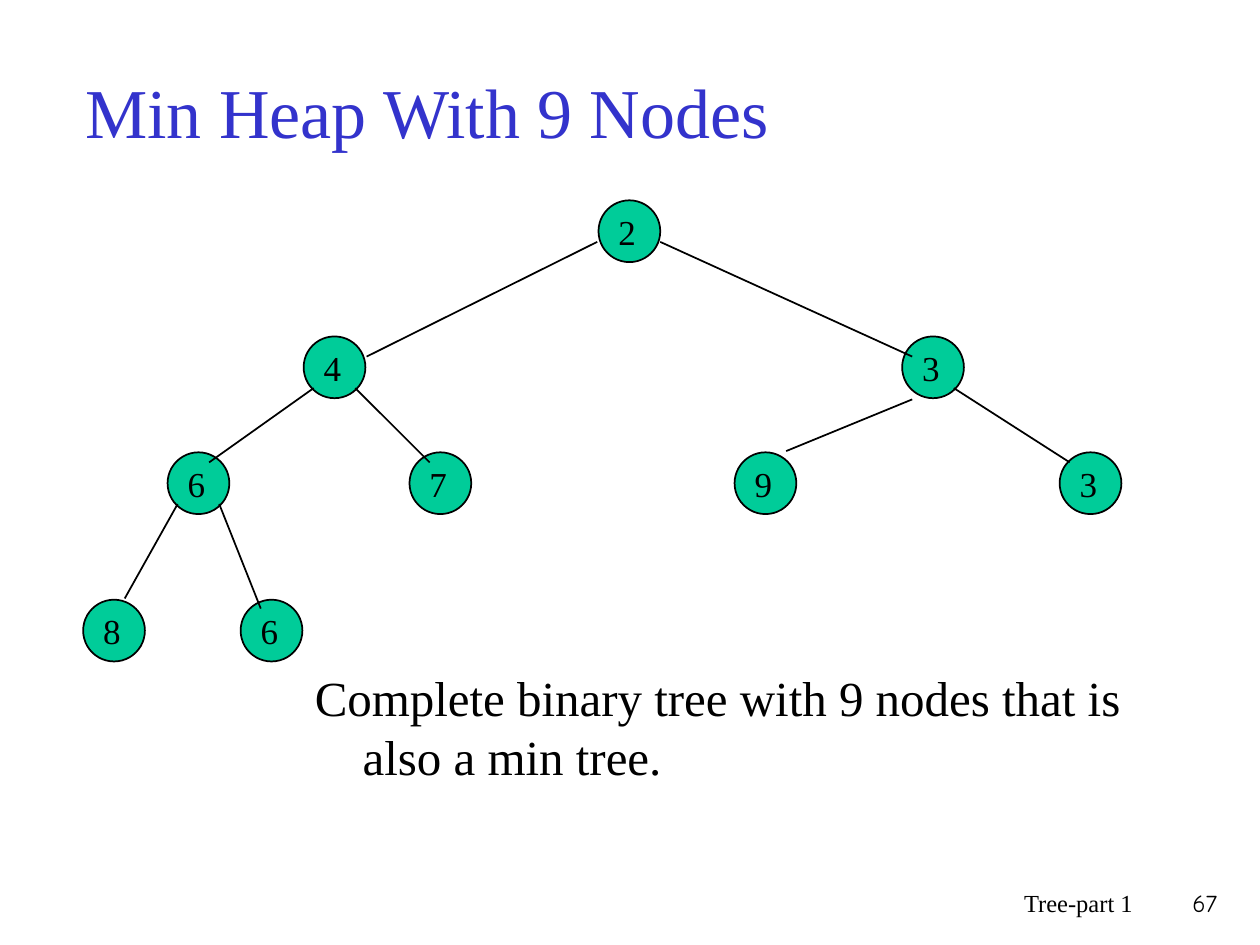
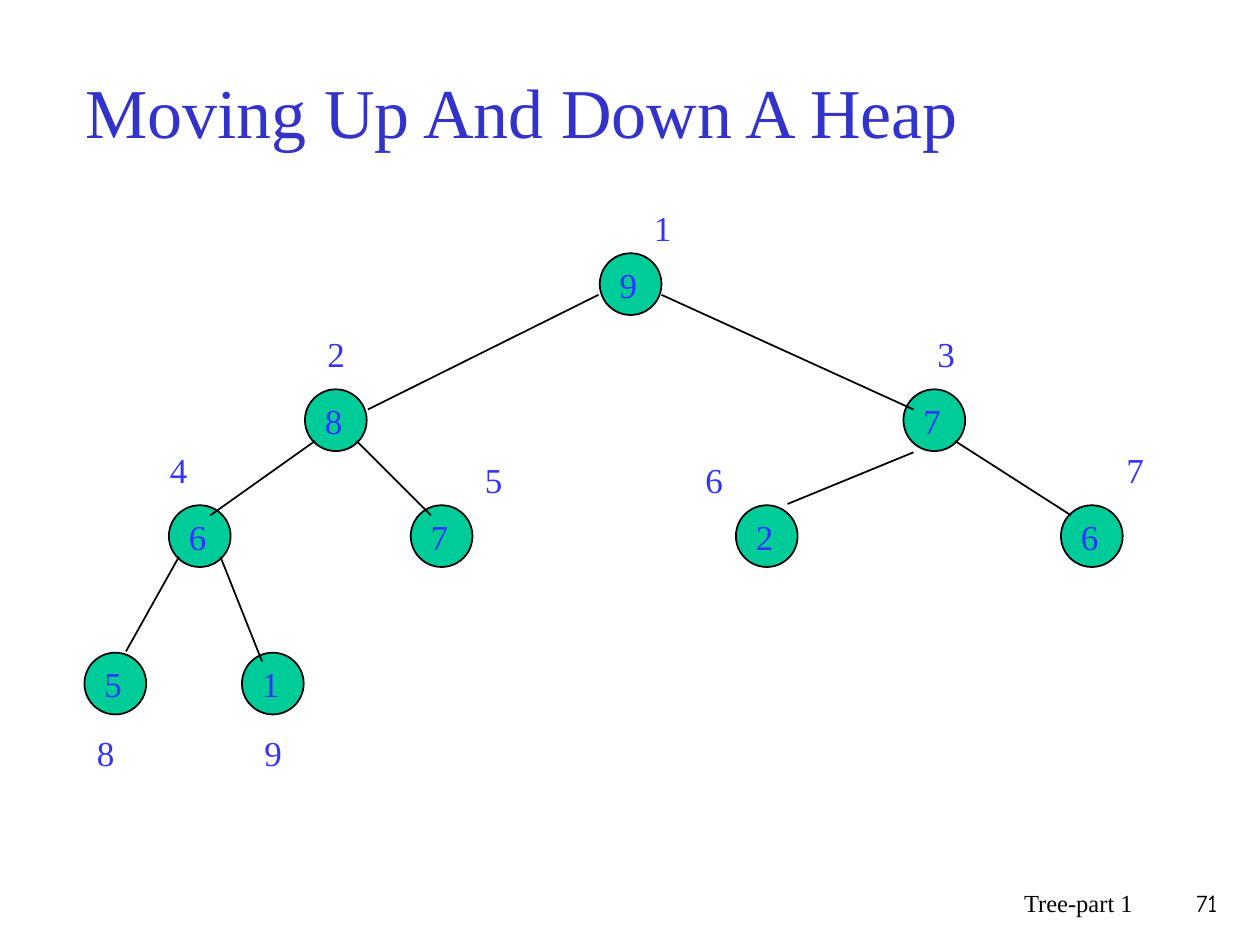
"""Build two slides that show heaps as binary trees."""
import pptx
import pptx.dml.color
import pptx.enum.shapes
import pptx.enum.text
import pptx.oxml.ns
import pptx.util
from pptx.util import Inches

RGBColor = pptx.dml.color.RGBColor
ALIGN = pptx.enum.text.PP_ALIGN
ANCHOR = pptx.enum.text.MSO_ANCHOR

TITLE_BLUE = RGBColor(0x33, 0x33, 0xCC)
LABEL_BLUE = RGBColor(0x33, 0x33, 0xFF)
GREEN = RGBColor(0x00, 0xCC, 0x99)
BLACK = RGBColor(0, 0, 0)

SERIF = "Times New Roman"
NUMBER_FONT = "Comic Neue"
FOOTER = "Tree-part 1"

SLIDES = [
    {
        "title": "Min Heap With 9 Nodes",
        "number": "67",
        "keys": "243679386",
        "key_color": BLACK,
        "shift": (0, 0),
        "caption": "Complete binary tree with 9 nodes that is also a min tree.",
        "indices": [],
    },
    {
        "title": "Moving Up And Down A Heap",
        "number": "71",
        "keys": "987672651",
        "key_color": LABEL_BLUE,
        "shift": (0.01, 0.42),
        "caption": "",
        "indices": [
            (5.09, 1.59), (2.5, 2.59), (7.34, 2.59),
            (1.25, 3.51), (3.75, 3.59), (5.5, 3.59), (8.84, 3.51),
            (0.67, 5.76), (2, 5.76),
        ],
    },
]

DIAMETER = 0.49
LEVEL_TOPS = [1.59, 2.67, 3.59, 4.76]
LEVEL_LEFTS = [[4.75], [2.41, 7.16], [1.33, 3.25, 5.83, 8.41], [0.66, 1.91]]
NODES = [(x, y) for y, xs in zip(LEVEL_TOPS, LEVEL_LEFTS) for x in xs]

# Each pair gives the line ends as offsets from the parent and the child.
EDGE_ENDS = [
    ((-0.01, 0.33), (0.5, 0.16)), ((0.49, 0.33), (0.08, 0.16)),
    ((0.08, 0.41), (0.33, 0.08)), ((0.41, 0.41), (0.16, 0.08)),
    ((0.08, 0.5), (0.41, -0.01)), ((0.41, 0.41), (0.08, 0.08)),
    ((0.08, 0.41), (0.33, -0.01)), ((0.41, 0.41), (0.16, 0.07)),
]


def add_text(slide, text, box, size, color=BLACK, font=SERIF, wrap=True,
             align=ALIGN.LEFT, anchor=ANCHOR.TOP):
    """Add a text box with one paragraph and return the paragraph."""
    tf = slide.shapes.add_textbox(*map(Inches, box)).text_frame
    tf.word_wrap = wrap
    tf.vertical_anchor = anchor
    p = tf.paragraphs[0]
    p.alignment = align
    r = p.add_run()
    r.text = text
    style = {"name": font, "size": pptx.util.Pt(size)}
    for name, value in style.items():
        setattr(r.font, name, value)
    r.font.color.rgb = color
    return p


def set_line(line):
    """Give a line the common black outline."""
    line.color.rgb = BLACK
    line.width = pptx.util.Pt(1)


def moved(point, offset):
    """Return the point moved by the offset."""
    return point[0] + offset[0], point[1] + offset[1]


def add_tree(slide, keys, color, shift):
    """Draw the circles, then the edges, then the keys."""
    nodes = [moved(node, shift) for node in NODES]
    for node in nodes:
        sp = slide.shapes.add_shape(
            pptx.enum.shapes.MSO_SHAPE.OVAL,
            *map(Inches, (*node, DIAMETER, DIAMETER)))
        sp.shadow.inherit = False
        sp.fill.solid()
        sp.fill.fore_color.rgb = GREEN
        set_line(sp.line)
    for child, (start, end) in enumerate(EDGE_ENDS, 1):
        ends = (*moved(nodes[(child - 1) // 2], start),
                *moved(nodes[child], end))
        edge = slide.shapes.add_connector(
            pptx.enum.shapes.MSO_CONNECTOR.STRAIGHT, *map(Inches, ends))
        set_line(edge.line)
        sp_pr = edge._element.spPr
        sp_pr.append(sp_pr.makeelement(pptx.oxml.ns.qn("a:effectLst"), {}))
    for node, key in zip(nodes, keys):
        add_text(slide, key, (*moved(node, (0.06, 0.03)), 0.34, 0.43), 20,
                 color, wrap=False)


def add_caption(slide, text):
    """Add the caption with its hanging indent."""
    p = add_text(slide, text, (2.4, 5.25, 7.17, 1.26), 28)
    p_pr = p._p.get_or_add_pPr()
    p_pr.set("marL", str(Inches(0.38)))
    p_pr.set("indent", str(-Inches(0.38)))


def build_slide(prs, content):
    """Build one heap slide."""
    slide = prs.slides.add_slide(prs.slide_layouts[6])
    add_text(slide, content["title"], (0.58, 0.25, 8.5, 1.25), 40, TITLE_BLUE,
             anchor=ANCHOR.MIDDLE)
    if content["caption"]:
        add_caption(slide, content["caption"])
    add_tree(slide, content["keys"], content["key_color"], content["shift"])
    for index, place in enumerate(content["indices"], 1):
        add_text(slide, str(index), (*place, 0.42, 0.43), 20, LABEL_BLUE)
    add_text(slide, FOOTER, (5.92, 7, 3.17, 0.5), 14, align=ALIGN.RIGHT)
    add_text(slide, content["number"], (9.08, 7, 0.68, 0.5), 14,
             font=NUMBER_FONT, align=ALIGN.RIGHT)


def main():
    """Build and save the presentation."""
    prs = pptx.Presentation()
    prs.slide_width, prs.slide_height = Inches(10), Inches(7.5)
    for content in SLIDES:
        build_slide(prs, content)
    prs.save("out.pptx")


if __name__ == "__main__":
    main()
